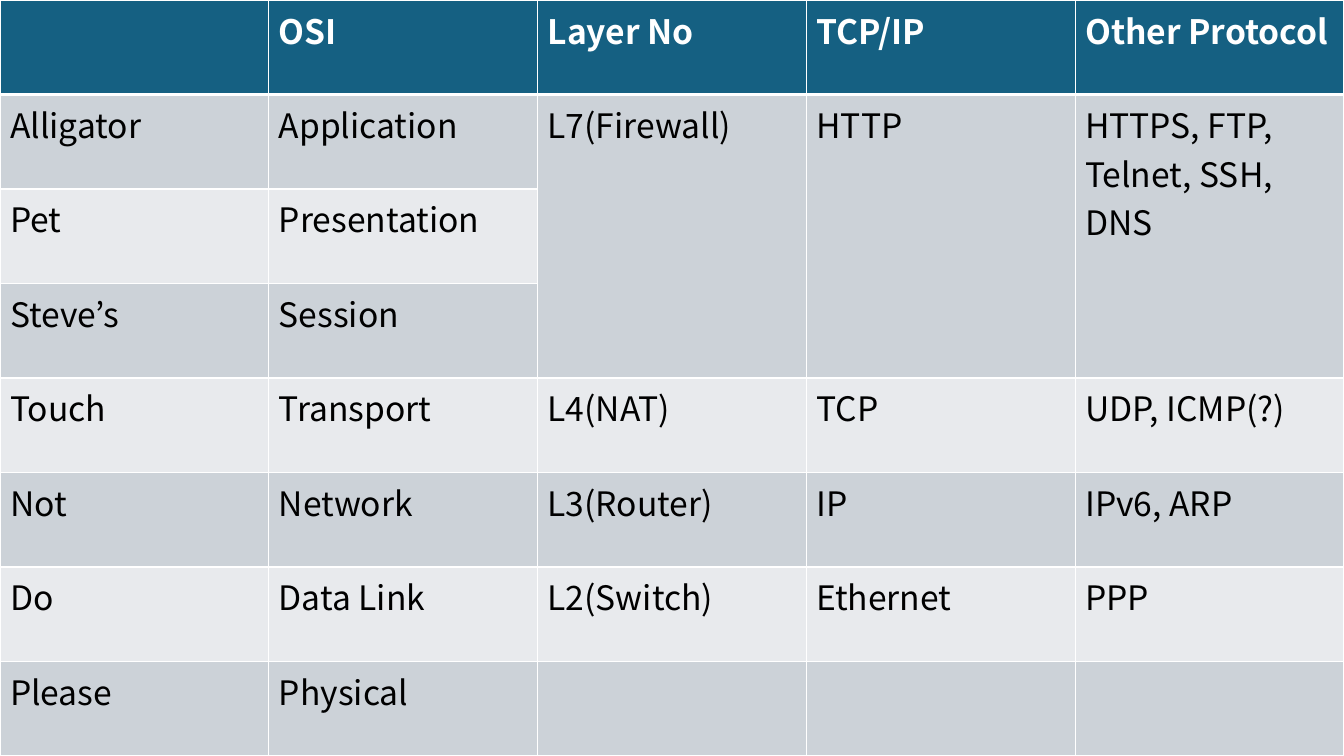
"""Build a slide with a full-page table of the OSI layers and their protocols."""
from lxml import etree
from pptx import Presentation
from pptx.dml.color import RGBColor
from pptx.oxml.ns import qn
from pptx.util import Inches, Pt

FONT = "Noto Sans CJK KR"
WHITE, BLACK = "FFFFFF", "000000"
HEADER_FILL, ODD_FILL, EVEN_FILL = "156082", "CCD2D8", "E8EAED"
BLANK_LAYOUT = 6

ROWS = [
    ["", "OSI", "Layer No", "TCP/IP", "Other Protocol"],
    ["Alligator", "Application", "L7(Firewall)", "HTTP", "HTTPS, FTP, Telnet, SSH, DNS"],
    ["Pet", "Presentation", "", "", ""],
    ["Steve’s", "Session", "", "", ""],
    ["Touch", "Transport", "L4(NAT)", "TCP", "UDP, ICMP(?)"],
    ["Not", "Network", "L3(Router)", "IP", "IPv6, ARP"],
    ["Do", "Data Link", "L2(Switch)", "Ethernet", "PPP"],
    ["Please", "Physical", "", "", ""],
]


def rgb(color):
    return RGBColor.from_string(color)


def set_borders(cell, top, bottom):
    tcPr = cell._tc.get_or_add_tcPr()
    widths = {"a:lnL": 1, "a:lnR": 1, "a:lnT": top, "a:lnB": bottom}
    for i, (tag, width) in enumerate(widths.items()):
        ln = etree.Element(qn(tag), w=str(Pt(width)))
        fill = etree.SubElement(ln, qn("a:solidFill"))
        etree.SubElement(fill, qn("a:srgbClr"), val=WHITE)
        tcPr.insert(i, ln)


prs = Presentation()
prs.slide_width, prs.slide_height = Inches(13.33), Inches(7.5)
s = prs.slides.add_slide(prs.slide_layouts[BLANK_LAYOUT])

n_rows, n_cols = len(ROWS), len(ROWS[0])
table = s.shapes.add_table(n_rows, n_cols, 0, 0, prs.slide_width, prs.slide_height).table

for r, row in enumerate(ROWS):
    header = r == 0
    fill = HEADER_FILL if header else ODD_FILL if r % 2 else EVEN_FILL
    for c, text in enumerate(row):
        cell = table.cell(r, c)
        cell.fill.solid()
        cell.fill.fore_color.rgb = rgb(fill)
        set_borders(cell, top=3 if r == 1 else 1, bottom=3 if header else 1)
        cell.text = text
        font = cell.text_frame.paragraphs[0].font
        font.name, font.size, font.bold = FONT, Pt(24), header
        font.color.rgb = rgb(WHITE if header else BLACK)

for c in range(2, n_cols):
    table.cell(1, c).merge(table.cell(3, c))

prs.save("out.pptx")
